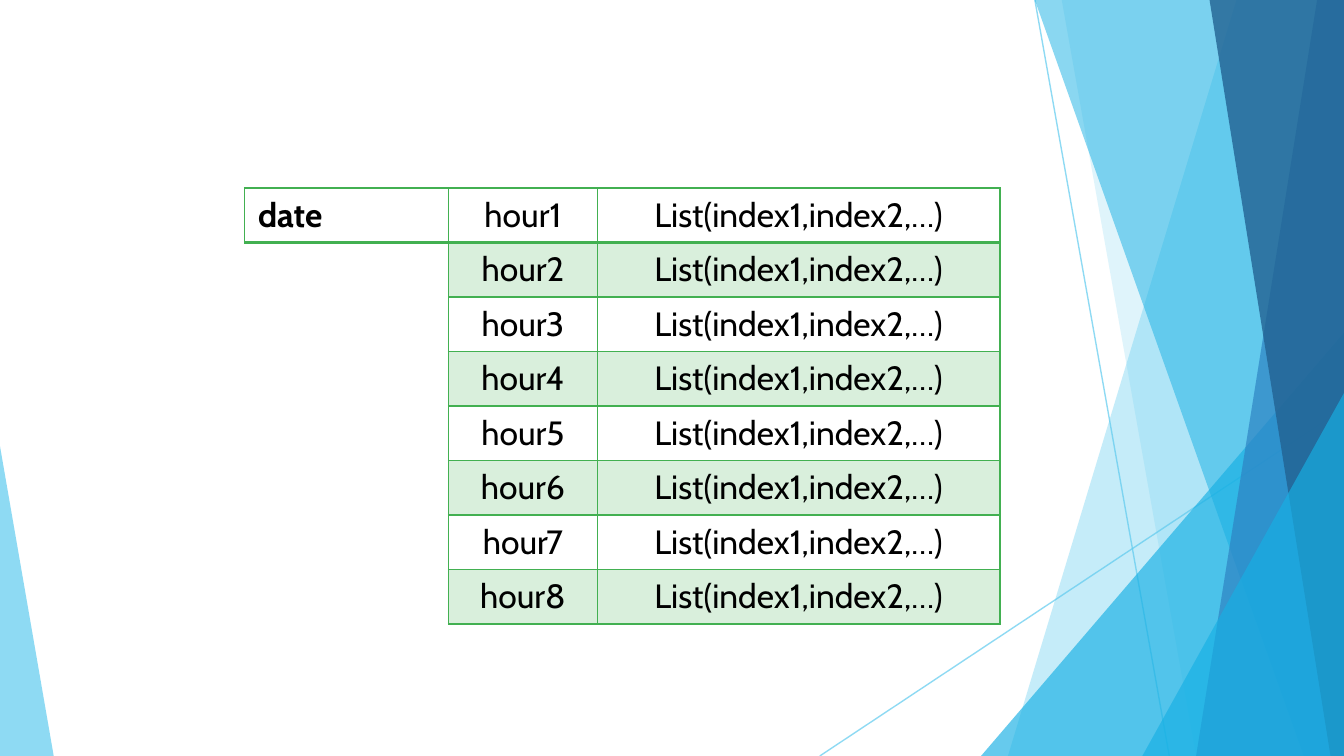
from collections import namedtuple

from lxml.etree import SubElement
from pptx import Presentation
from pptx.dml.color import RGBColor
from pptx.enum.shapes import MSO_CONNECTOR, MSO_SHAPE
from pptx.enum.text import MSO_ANCHOR, PP_ALIGN
from pptx.oxml.ns import qn
from pptx.util import Inches, Pt

COLORS = {
    "sky": "5FCBEF",
    "cyan": "17B0E4",
    "blue": "2E83C3",
    "navy": "226292",
    "green": "42B051",
    "black": "000000",
}
FONT = "Cabin"
HOURS = 8
INDEX_LIST = "List(index1,index2,…)"

Box = namedtuple("Box", "left top width height")


def share(box, x, y, width=0, height=0):
    """Return the part of a box given as shares of its size."""
    return Box(int(box.left + x * box.width), int(box.top + y * box.height),
               int(width * box.width), int(height * box.height))


def set_alpha(parent, percent):
    color = next(parent.iter(qn("a:srgbClr")))
    SubElement(color, qn("a:alpha"), val=str(percent * 1000))


def paint(shape, color, alpha):
    shape.shadow.inherit = False
    shape.fill.solid()
    shape.fill.fore_color.rgb = RGBColor.from_string(COLORS[color])
    set_alpha(shape._element.spPr, alpha)
    shape.line.fill.background()


def add_ray(slide, box, start, end):
    begin, finish = share(box, *start), share(box, *end)
    ray = slide.shapes.add_connector(MSO_CONNECTOR.STRAIGHT, begin.left, begin.top,
                                     finish.left, finish.top)
    ray.line.color.rgb = RGBColor.from_string(COLORS["sky"])
    ray.line.width = Pt(0.75)
    set_alpha(ray._element.spPr, 70)
    SubElement(ray._element.spPr, qn("a:effectLst"))


def add_facet(slide, box, top_x, bottom_x, color, alpha):
    """Add a full-height facet whose slanted left edge meets the right side."""
    corners = [share(box, x, y)[:2]
               for x, y in ((top_x, 0), (1, 0), (1, 1), (bottom_x, 1))]
    builder = slide.shapes.build_freeform(*corners[0])
    builder.add_line_segments(corners[1:], close=True)
    paint(builder.convert_to_shape(), color, alpha)


def add_corner(slide, box, left, width, height, apex, color, alpha):
    """Add a right triangle standing on the bottom edge."""
    corner = slide.shapes.add_shape(MSO_SHAPE.ISOSCELES_TRIANGLE,
                                    *share(box, left, 1 - height, width, height))
    corner.adjustments[0] = apex
    paint(corner, color, alpha)


def draw_backdrop(slide, box):
    # Thin crossing rays
    add_ray(slide, box, (0.77, 0), (0.87, 1))
    add_ray(slide, box, (1, 0.54), (0.61, 1))
    # Overlapping facets on the right, back to front
    add_facet(slide, box, 0.92, 0.75, "sky", 36)
    add_facet(slide, box, 0.79, 0.89, "sky", 20)
    add_corner(slide, box, 0.73, 0.27, 0.56, 1, "cyan", 66)
    add_facet(slide, box, 0.77, 0.97, "cyan", 50)
    add_facet(slide, box, 0.98, 0.89, "blue", 70)
    add_facet(slide, box, 0.9, 0.99, "navy", 80)
    add_corner(slide, box, 0.85, 0.15, 0.48, 1, "cyan", 66)
    # Left corner
    add_corner(slide, box, 0, 0.04, 0.41, 0, "sky", 70)


def style_cell(cell, text, align, bold, bottom_width, shaded):
    cell.vertical_anchor = MSO_ANCHOR.TOP
    paragraph = cell.text_frame.paragraphs[0]
    paragraph.alignment = align
    run = paragraph.add_run()
    run.text = text
    run.font.name, run.font.size, run.font.bold = FONT, Pt(18), bold
    run.font.color.rgb = RGBColor.from_string(COLORS["black"])

    # Borders come before the fill in the cell properties
    properties = cell._tc.get_or_add_tcPr()
    for side, width in zip("LRTB", (1, 1, 1, bottom_width)):
        border = SubElement(properties, qn(f"a:ln{side}"), w=str(Pt(width)))
        line_fill = SubElement(border, qn("a:solidFill"))
        SubElement(line_fill, qn("a:srgbClr"), val=COLORS["green"])
    if shaded:
        cell.fill.solid()
        cell.fill.fore_color.rgb = RGBColor.from_string(COLORS["green"])
        set_alpha(properties.find(qn("a:solidFill")), 20)
    else:
        cell.fill.background()


def draw_table(slide, box, rows, column_shares, align, bold=False):
    table = slide.shapes.add_table(len(rows), len(column_shares), *box).table
    table.first_row = table.horz_banding = False
    for column, part in zip(table.columns, column_shares):
        column.width = int(box.width * part)
    for row_index, texts in enumerate(rows):
        table.rows[row_index].height = int(box.height / len(rows))
        for column_index, text in enumerate(texts):
            style_cell(table.cell(row_index, column_index), text, align, bold,
                       bottom_width=1 if row_index else 2,
                       shaded=row_index % 2 == 1)


def draw_date_index(slide, box):
    """Put the date key beside the first row of the hour table."""
    date_share = 0.27
    hour_rows = [(f"hour{number}", INDEX_LIST) for number in range(1, HOURS + 1)]
    draw_table(slide, share(box, date_share, 0, 1 - date_share, 1), hour_rows,
               (0.27, 0.73), PP_ALIGN.CENTER)
    draw_table(slide, share(box, 0, 0, date_share, 1 / HOURS), [("date",)],
               (1,), PP_ALIGN.LEFT, bold=True)


def main():
    deck = Presentation()
    deck.slide_width = Inches(10)
    deck.slide_height = int(deck.slide_width * 9 / 16)
    slide = deck.slides.add_slide(deck.slide_layouts[6])
    page = Box(0, 0, deck.slide_width, deck.slide_height)
    draw_backdrop(slide, page)
    draw_date_index(slide, Box(Inches(1.82), Inches(1.4), Inches(5.62), Inches(3.24)))
    deck.save("out.pptx")


if __name__ == "__main__":
    main()
